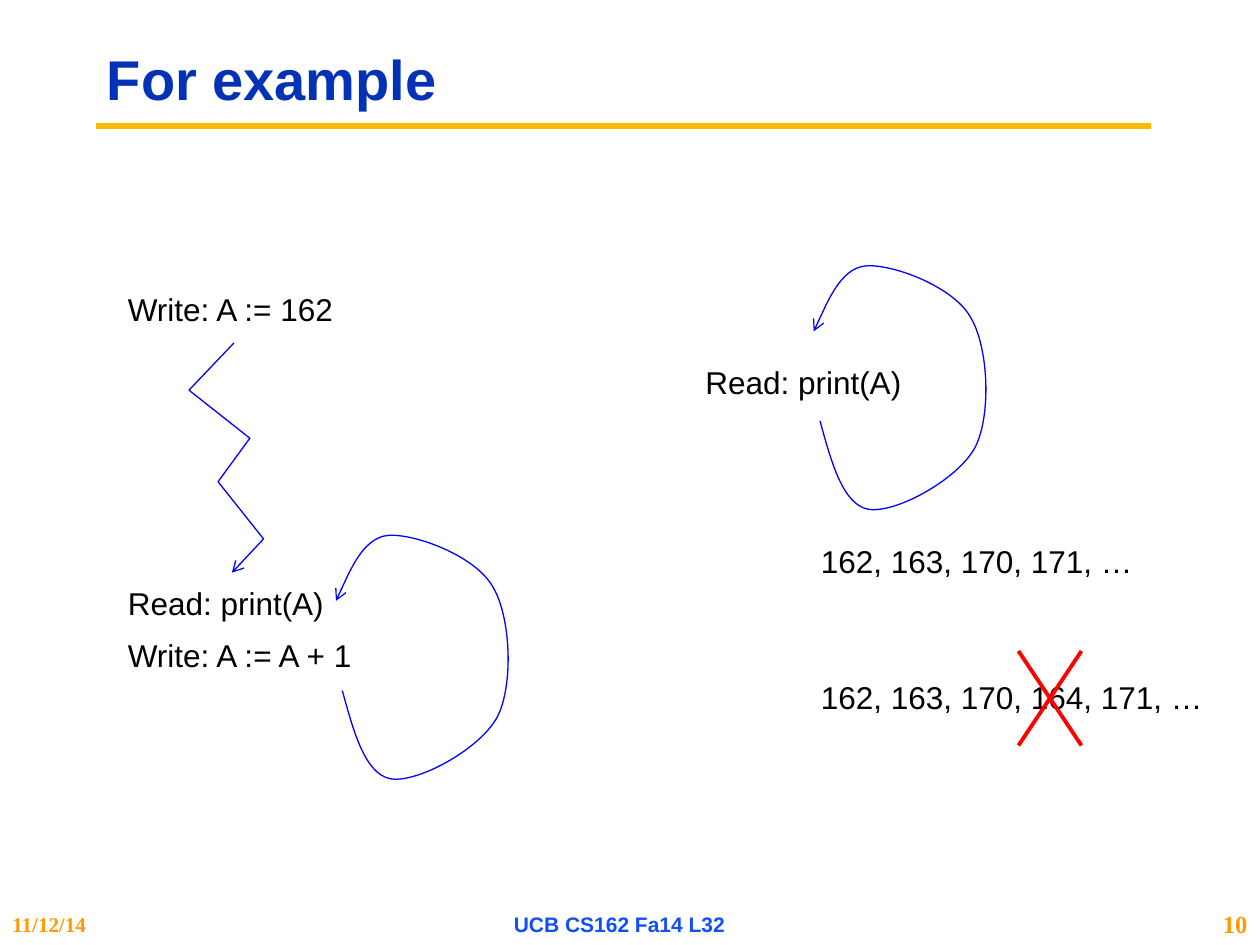
from pptx import Presentation
from pptx.dml.color import RGBColor
from pptx.enum.shapes import MSO_CONNECTOR
from pptx.enum.text import MSO_ANCHOR, MSO_AUTO_SIZE, PP_ALIGN
from pptx.oxml.ns import qn
from pptx.util import Pt
from lxml import etree

STRAIGHT = MSO_CONNECTOR.STRAIGHT
TOP, MIDDLE = MSO_ANCHOR.TOP, MSO_ANCHOR.MIDDLE
LEFT, CENTER, RIGHT = PP_ALIGN.LEFT, PP_ALIGN.CENTER, PP_ALIGN.RIGHT
FIT_TEXT, FIXED = MSO_AUTO_SIZE.SHAPE_TO_FIT_TEXT, MSO_AUTO_SIZE.NONE

COLORS = {
    "title": "0332B7", "rule": "FBBA03", "text": "000000", "flow": "0000FF",
    "cross": "FF0000", "footer": "114FFB", "page": "FF9900",
}
SANS, SERIF = "Arial", "Times New Roman"


class SlideBuilder:
    def __init__(self, slide):
        self.slide = slide

    def color(self, name):
        return RGBColor.from_string(COLORS[name])

    def text(self, text, left, top, width, height, size=18, font=SANS, color="text",
             bold=False, align=LEFT, anchor=TOP, fit=FIXED, wrap=False, spacing=None):
        box = self.slide.shapes.add_textbox(Pt(left), Pt(top), Pt(width), Pt(height))
        frame = box.text_frame
        frame.text = text
        frame.word_wrap = wrap
        frame.auto_size = fit
        frame.vertical_anchor = anchor
        paragraph = frame.paragraphs[0]
        paragraph.alignment = align
        paragraph.line_spacing = spacing
        run_font = paragraph.runs[0].font
        run_font.name, run_font.size, run_font.bold = font, Pt(size), bold
        run_font.color.rgb = self.color(color)

    def code(self, text, left, top, width):
        self.text(text, left, top, width, 29, fit=FIT_TEXT)

    def line(self, start, end, color, weight, shapes=None):
        shapes = self.slide.shapes if shapes is None else shapes
        connector = shapes.add_connector(STRAIGHT, *map(Pt, start + end))
        connector.line.color.rgb = self.color(color)
        connector.line.width = Pt(weight)
        etree.SubElement(connector._element.spPr, qn("a:effectLst"))

    def cross(self, left, top, right, bottom):
        group = self.slide.shapes.add_group_shape()
        self.line((left, top), (right, bottom), "cross", 2.25, group.shapes)
        self.line((right, top), (left, bottom), "cross", 2.25, group.shapes)

    def arrow_path(self, points, left=0, top=0, curved=False):
        points = [(Pt(left + x), Pt(top + y)) for x, y in points]
        builder = self.slide.shapes.build_freeform(*points[0])
        builder.add_line_segments(points[1:], close=False)
        shape = builder.convert_to_shape()
        shape.shadow.inherit = False
        shape.fill.background()
        shape.line.color.rgb = self.color("flow")
        shape.line.width = Pt(0.75)
        etree.SubElement(shape.line._get_or_add_ln(), qn("a:tailEnd"), type="arrow")
        if curved:
            self.bend(shape)

    def bend(self, shape):
        """Turn each three line segments into one cubic Bézier segment."""
        segments = list(shape._element.iter(qn("a:lnTo")))
        for first in range(0, len(segments), 3):
            curve = etree.Element(qn("a:cubicBezTo"))
            segments[first].addprevious(curve)
            for segment in segments[first:first + 3]:
                curve.append(segment[0])
                segment.getparent().remove(segment)


def main():
    presentation = Presentation()
    presentation.slide_width, presentation.slide_height = Pt(720), Pt(540)
    slide = presentation.slides.add_slide(presentation.slide_layouts[6])
    page = SlideBuilder(slide)

    # Title and rule
    page.line((55, 72), (657.5, 72), "rule", 3.75)
    page.text("For example", 54, 18, 606, 58.5, 32, color="title", bold=True,
              anchor=MIDDLE, wrap=True, spacing=0.9)

    # Footer
    for text, left, width, size, font, color, align in [
        ("11/12/14", 0, 120, 12, SERIF, "page", LEFT),
        ("UCB CS162 Fa14 L32", 240, 228, 12, SANS, "footer", CENTER),
        ("10", 678, 42, 14, SERIF, "page", RIGHT),
    ]:
        page.text(text, left, 516, width, 24, size, font, color, True, align, MIDDLE)

    # Statements and printed results
    for text, left, top, width in [
        ("Write: A := 162", 66, 162, 133),
        ("Read: print(A)", 66, 330, 127.5),
        ("Write: A := A + 1", 66, 360, 143),
        ("Read: print(A)", 396, 204, 127.5),
        ("162, 163, 170, 171, …", 462, 306, 194.5),
        ("162, 163, 170, 164, 171, …", 462, 384, 234.5),
    ]:
        page.code(text, left, top, width)

    # Zigzag from the first write to the loop
    page.arrow_path([(133.7, 196), (108, 223), (142.8, 250.5), (124.6, 275.3),
                     (150.6, 308), (132.5, 327.3)])

    # Repeat arrows: one start point, then three points per curve
    loop = [
        (3.6, 88.6),
        (10.1, 112.3), (16.6, 136.1), (31, 139),
        (46.1, 141.8), (82.1, 122.4), (92.2, 103.7),
        (101.5, 85.7), (100.1, 46.1), (89.3, 28.8),
        (79.2, 11.5), (44.6, -1.4), (29.5, 0),
        (15.1, 1.4), (0, 37.4), (0, 37.4),
    ]
    for left, top in [(465, 152), (192, 306)]:
        page.arrow_path(loop, left, top, curved=True)

    # Cross over the impossible value
    page.cross(582, 372, 618, 426)

    presentation.save("out.pptx")


if __name__ == "__main__":
    main()
